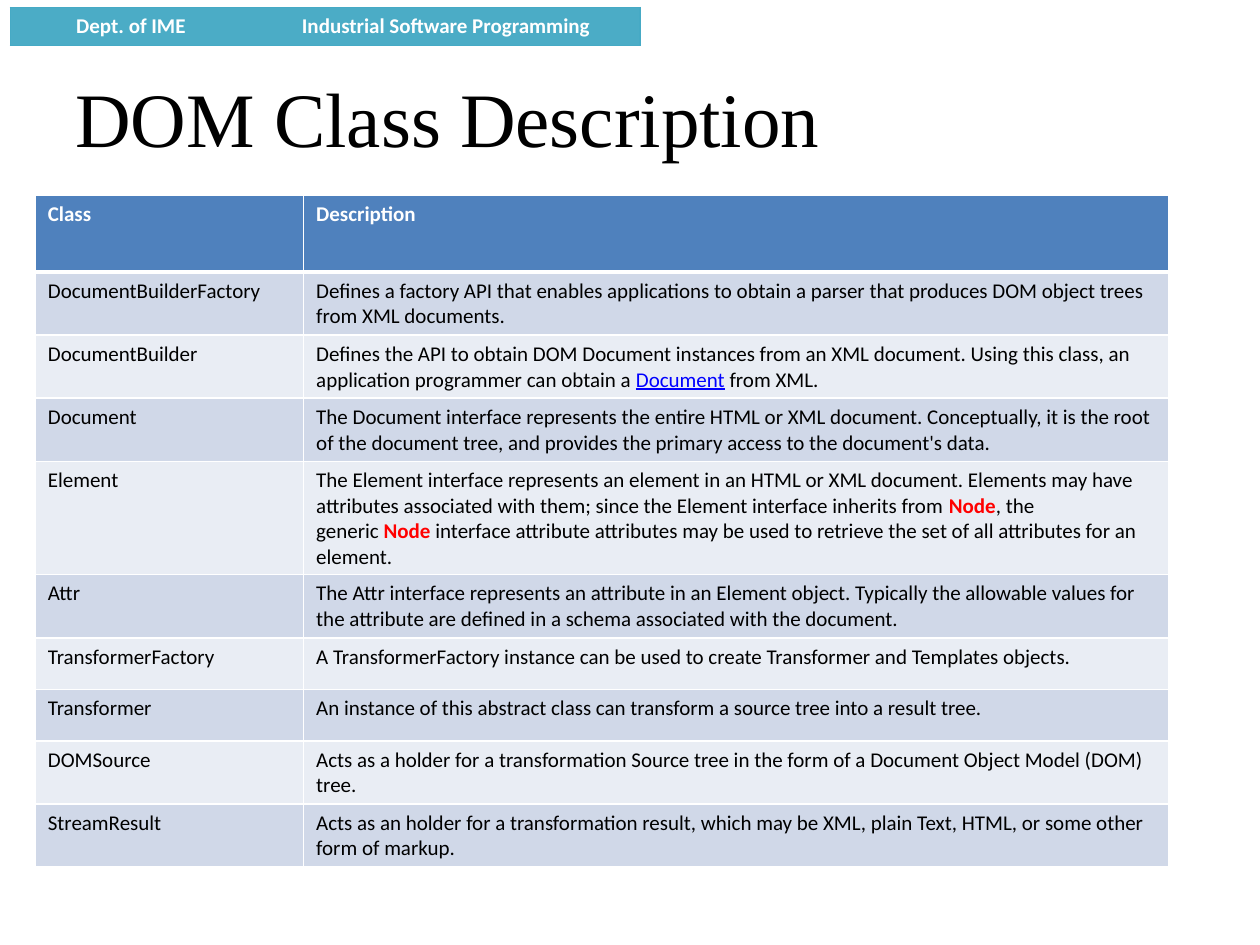
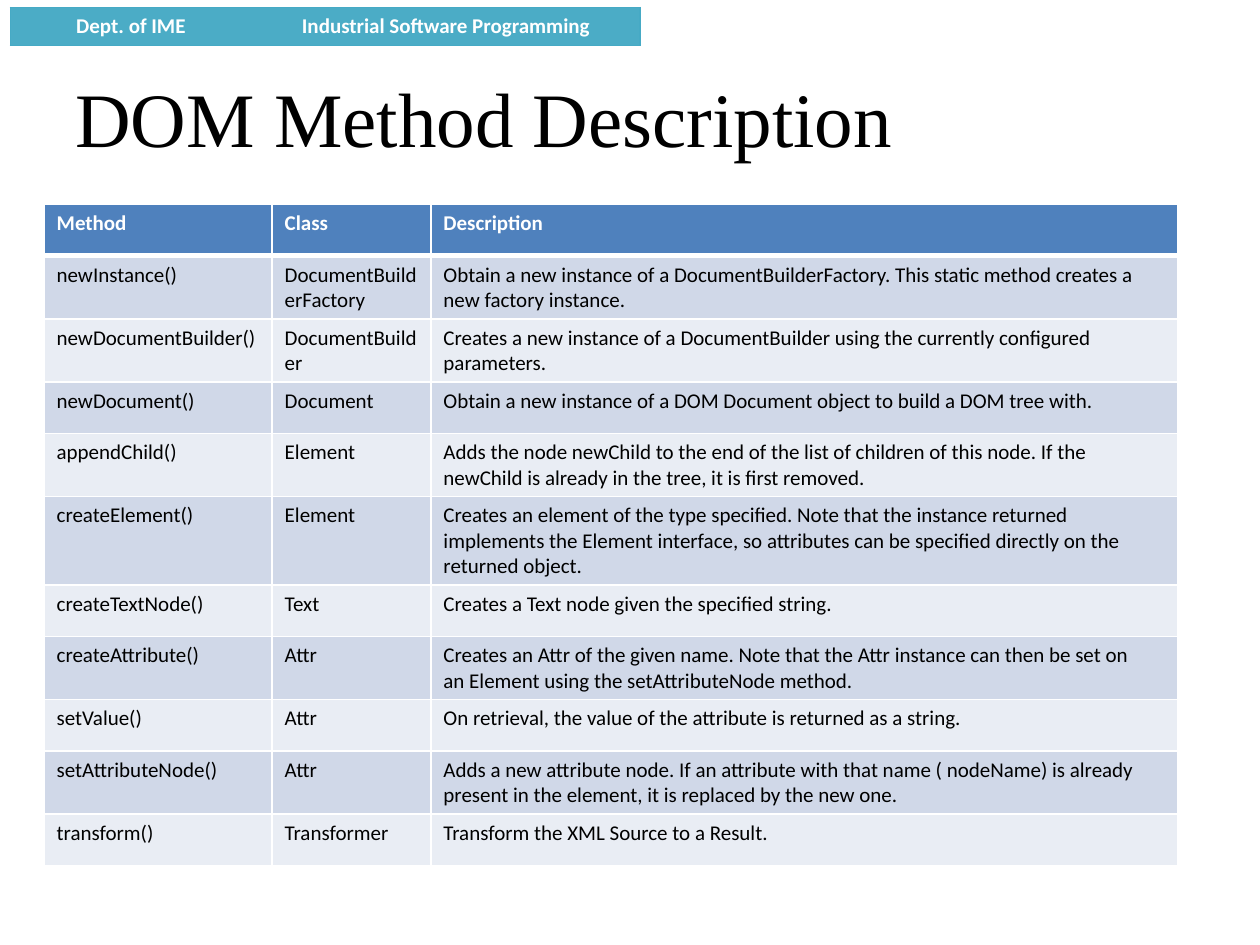
from dataclasses import dataclass
from typing import Optional, Union

from lxml.etree import SubElement
from pptx import Presentation
from pptx.dml.color import RGBColor
from pptx.enum.text import MSO_ANCHOR, PP_ALIGN
from pptx.oxml.ns import qn
from pptx.util import Inches, Pt


@dataclass(frozen=True)
class Theme:
    ink: str = "000000"
    white: str = "FFFFFF"
    link: str = "0000FF"
    alert: str = "FF0000"
    head: str = "4F81BD"
    bands: tuple[str, str] = ("D0D8E8", "E9EDF4")
    strip: str = "4BACC6"
    edge: str = "46AAC5"
    body_font: str = "Calibri"
    title_font: str = "Times New Roman"
    body_size: float = 12
    title_size: float = 44
    plain: str = "{2D5ABB26-0587-4C30-8999-92F81FD0307C}"  # no style, no grid


THEME = Theme()


@dataclass(frozen=True)
class Run:
    text: str
    color: str = THEME.ink
    bold: bool = False
    line: bool = False


@dataclass(frozen=True)
class Edge:
    color: str
    width: float


Cell = Union[str, list[Run]]
Edges = dict[str, Edge]


@dataclass(frozen=True)
class Page:
    title: str
    left: float
    top: float
    cols: list[float]
    head_high: float
    head: list[str]
    rows: list[list[Cell]]


ROW_HIGH = 0.41
NODE = Run("Node", THEME.alert, bold=True)

# A tilde in the wording stands for a no-break space.
PAGES = [
    Page("DOM Class Description", 0.28, 1.55, [2.13, 6.87], 0.61,
         ["Class", "Description"], [
        ["DocumentBuilderFactory",
         "Defines a factory API that enables applications to obtain a parser "
         "that produces DOM object trees from XML documents."],
        ["DocumentBuilder", [
            Run("Defines the API to obtain DOM Document instances from an XML "
                "document. Using this class, an application programmer can "
                "obtain a~"),
            Run("Document", THEME.link, line=True),
            Run("~from XML.")]],
        ["Document",
         "The~Document~interface represents the entire HTML or XML document. "
         "Conceptually, it is the root of the document tree, and provides the "
         "primary access to the document's data."],
        ["Element", [
            Run("The~Element~interface represents an element in an HTML or XML "
                "document. Elements may have attributes associated with them; "
                "since the~Element~interface inherits from~"),
            NODE,
            Run(", the generic~"),
            NODE,
            Run("~interface attribute~attributes~may be used to retrieve the "
                "set of all attributes for an element.")]],
        ["Attr",
         "The~Attr~interface represents an attribute in an~Element~object. "
         "Typically the allowable values for the attribute are defined in a "
         "schema associated with the document."],
        ["TransformerFactory",
         "A TransformerFactory instance can be used to create Transformer and "
         "Templates objects."],
        ["Transformer",
         "An instance of this abstract class can transform a source tree into "
         "a result tree."],
        ["DOMSource",
         "Acts as a holder for a transformation Source tree in the form of a "
         "Document Object Model (DOM) tree."],
        ["StreamResult",
         "Acts as an holder for a transformation result, which may be XML, "
         "plain Text, HTML, or some other form of markup."],
    ]),
    Page("DOM Method Description", 0.35, 1.62, [1.81, 1.26, 5.93], ROW_HIGH,
         ["Method", "Class", "Description"], [
        ["newInstance()", "DocumentBuilderFactory",
         "Obtain a new instance of a~DocumentBuilderFactory. This static "
         "method creates a new factory instance."],
        ["newDocumentBuilder()", "DocumentBuilder",
         "Creates a new instance of a~DocumentBuilder~using the currently "
         "configured parameters."],
        ["newDocument()", "Document",
         "Obtain a new instance of a DOM~Document~object to build a DOM tree "
         "with."],
        ["appendChild()", "Element",
         "Adds the node newChild to the end of the list of children of this "
         "node. If the newChild is already in the tree, it is first removed."],
        ["createElement()", "Element",
         "Creates an element of the type specified. Note that the instance "
         "returned implements the~Element~interface, so attributes can be "
         "specified directly on the returned object."],
        ["createTextNode()", "Text",
         "Creates a~Text~node given the specified string."],
        ["createAttribute()", "Attr",
         "Creates an~Attr~of the given name. Note that the~Attr~instance can "
         "then be set on an~Element~using the~setAttributeNode~method."],
        ["setValue()", "Attr",
         "On retrieval, the value of the attribute is returned as a string."],
        ["setAttributeNode()", "Attr",
         "Adds a new attribute node. If an attribute with that name (~nodeName)"
         " is already present in the element, it is replaced by the new one."],
        ["transform()", "Transformer",
         "Transform the XML Source to a Result."],
    ]),
]


def add_run(para, run: Run, face: str, size: float) -> None:
    part = para.add_run()
    part.text = run.text.replace("~", "\u00a0")
    font = part.font
    font.name, font.size = face, Pt(size)
    font.bold, font.underline = run.bold, run.line
    font.color.rgb = RGBColor.from_string(run.color)


def add_grid(slide, left: float, top: float, cols: list[float],
             highs: list[float]):
    """Add an unstyled table with the given column widths and row heights."""
    frame = slide.shapes.add_table(
        len(highs), len(cols), Inches(left), Inches(top),
        Inches(sum(cols)), Inches(sum(highs)))
    grid = frame.table
    grid.first_row = grid.horz_banding = False
    grid._tbl.tblPr.find(qn("a:tableStyleId")).text = THEME.plain
    for col, wide in zip(grid.columns, cols):
        col.width = Inches(wide)
    for row, high in zip(grid.rows, highs):
        row.height = Inches(high)
    return grid


def set_edges(cell, edges: Edges) -> None:
    props = cell._tc.get_or_add_tcPr()
    for side in "LRTB":
        if side in edges:
            edge = edges[side]
            line = SubElement(props, qn(f"a:ln{side}"), w=str(Pt(edge.width)))
            fill = SubElement(line, qn("a:solidFill"))
            SubElement(fill, qn("a:srgbClr"), val=edge.color)


def fill_cell(cell, runs: list[Run], fill: str, edges: Edges,
              align: Optional[PP_ALIGN] = None) -> None:
    set_edges(cell, edges)
    cell.fill.solid()
    cell.fill.fore_color.rgb = RGBColor.from_string(fill)
    para = cell.text_frame.paragraphs[0]
    para.alignment = align
    for run in runs:
        add_run(para, run, THEME.body_font, THEME.body_size)


def add_strip(slide) -> None:
    """Draw the course band at the top."""
    grid = add_grid(slide, 0.08, 0.06, [1.92, 3.08], [0.3])
    edge = Edge(THEME.edge, 0.75)
    labels = [("Dept. of IME", "LTB"), ("Industrial Software Programming", "RTB")]
    for cell, (text, sides) in zip(grid.rows[0].cells, labels):
        fill_cell(cell, [Run(text, THEME.white, bold=True)], THEME.strip,
                  {side: edge for side in sides}, PP_ALIGN.CENTER)


def add_title(slide, text: str) -> None:
    box = slide.shapes.add_textbox(Inches(0.5), Inches(0.3), Inches(9), Inches(1.25))
    frame = box.text_frame
    frame.word_wrap = True
    frame.vertical_anchor = MSO_ANCHOR.MIDDLE
    add_run(frame.paragraphs[0], Run(text), THEME.title_font, THEME.title_size)


def add_body(slide, page: Page) -> None:
    """Draw the header row and the banded rows below it."""
    highs = [page.head_high] + [ROW_HIGH] * len(page.rows)
    grid = add_grid(slide, page.left, page.top, page.cols, highs)
    thin, thick = Edge(THEME.white, 1), Edge(THEME.white, 3)
    edges = {side: thin for side in "LRTB"}
    for cell, text in zip(grid.rows[0].cells, page.head):
        fill_cell(cell, [Run(text, THEME.white, bold=True)], THEME.head,
                  {**edges, "B": thick})
    for num, row in enumerate(page.rows):
        rules = {**edges, "T": thick} if num == 0 else edges
        for cell, item in zip(grid.rows[num + 1].cells, row):
            runs = [Run(item)] if isinstance(item, str) else item
            fill_cell(cell, runs, THEME.bands[num % 2], rules)


def main() -> None:
    deck = Presentation()
    deck.slide_width, deck.slide_height = Inches(10), Inches(7.5)
    for page in PAGES:
        slide = deck.slides.add_slide(deck.slide_layouts[6])
        add_strip(slide)
        add_title(slide, page.title)
        add_body(slide, page)
    deck.save("out.pptx")


main()
